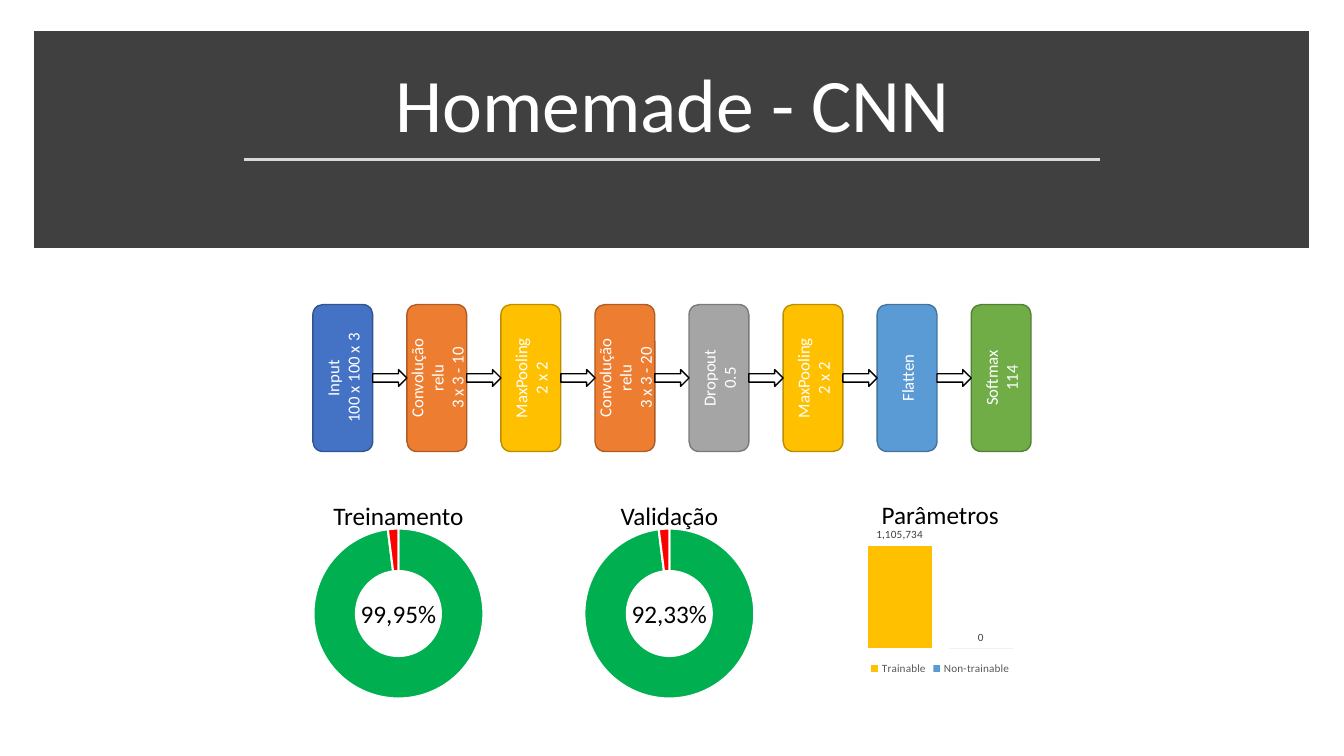
from lxml import etree
from pptx import Presentation
from pptx import util as u
from pptx.chart.data import CategoryChartData
from pptx.dml.color import RGBColor
from pptx.enum import chart as ch, shapes, text
from pptx.oxml import parse_xml
from pptx.oxml.ns import nsdecls, qn

PX = 9525
FONT = "Calibri"
WHITE, BLACK, CHARCOAL = "FFFFFF", "000000", "404040"
LAYERS = [
    ("Input\n100 x 100 x 3", "4472C4", "325491"),
    ("Convolução\nrelu\n3 x 3 - 10", "ED7D31", "AF5C24"),
    ("MaxPooling\n2 x 2", "FFC000", "BD8E00"),
    ("Convolução\nrelu\n3 x 3 - 20", "ED7D31", "AF5C24"),
    ("Dropout\n0.5", "A5A5A5", "7A7A7A"),
    ("MaxPooling\n2 x 2", "FFC000", "BD8E00"),
    ("Flatten", "5B9BD5", "43739E"),
    ("Softmax\n114", "70AD47", "538035"),
]
ACCURACIES = [("Treinamento", "99,95%"), ("Validação", "92,33%")]
PARAMETERS = [("Trainable", 1105734, "FFC000"), ("Non-trainable", 0, "5B9BD5")]


def rgb(color):
    return RGBColor.from_string(color)


def emu(*lengths):
    return [round(length * PX) for length in lengths]


def style_font(font, size, color):
    font.name, font.size = FONT, u.Pt(size)
    font.color.rgb = rgb(color)


def write(frame, words, size, color, anchor):
    frame.text = words
    frame.vertical_anchor = anchor
    for paragraph in frame.paragraphs:
        paragraph.alignment = text.PP_ALIGN.CENTER
        for run in paragraph.runs:
            style_font(run.font, size, color)


def add_block(parent, preset, box, fill, outline, width=1):
    block = parent.add_shape(preset, *emu(*box))
    block.shadow.inherit = False
    block.fill.solid()
    block.fill.fore_color.rgb = rgb(fill)
    block.line.color.rgb = rgb(outline)
    block.line.width = u.Pt(width)
    return block


def add_label(parent, box, words, anchor, wrap):
    label = parent.add_textbox(*emu(*box))
    label.text_frame.word_wrap = wrap
    write(label.text_frame, words, 18, BLACK, anchor)


def add_plain_chart(parent, kind, box, categories, series, size, plot_area):
    """Add a chart whose plot fills plot_area, given as fractions of the box."""
    data = CategoryChartData()
    data.categories = categories
    for name, values in series:
        data.add_series(name, values)
    chart = parent.add_chart(kind, *emu(*box), data).chart
    chart.has_title = chart.has_legend = False
    style_font(chart.font, size, BLACK)
    edges = "".join(f'<c:{tag} val="{value:.3f}"/>' for tag, value in zip("xywh", plot_area))
    layout = parse_xml(
        f'<c:layout {nsdecls("c")}><c:manualLayout><c:layoutTarget val="inner"/>'
        f'<c:xMode val="edge"/><c:yMode val="edge"/>{edges}</c:manualLayout></c:layout>')
    plot = chart.element.find(".//" + qn("c:plotArea"))
    for automatic in plot.findall(qn("c:layout")):
        plot.remove(automatic)
    plot.insert(0, layout)
    return chart


def add_header(slide, box):
    left, top, width, height = box
    banner = add_block(slide.shapes, shapes.MSO_SHAPE.RECTANGLE, box, CHARCOAL, CHARCOAL, 10)
    etree.SubElement(banner.line._get_or_add_ln(), qn("a:miter"), lim="800000")

    title = slide.shapes.title
    title.left, title.top, title.width, title.height = emu(left + 17, top + 13, width - 32, 98)
    write(title.text_frame, "Homemade - CNN", 54, WHITE, text.MSO_ANCHOR.BOTTOM)
    title.text_frame.auto_size = text.MSO_AUTO_SIZE.NONE
    title.text_frame.paragraphs[0].line_spacing = 0.9
    # The banner sits behind the title
    slide.shapes._spTree.remove(title._element)
    slide.shapes._spTree.append(title._element)

    rule = slide.shapes.add_connector(
        shapes.MSO_CONNECTOR.STRAIGHT,
        *emu(left + 193, top + 116, left + width - 192, top + 116))
    rule.line.color.rgb = rgb("D9D9D9")
    rule.line.width = u.Pt(1.75)
    etree.SubElement(rule._element.spPr, qn("a:effectLst"))


def add_pipeline(slide, box):
    left, top, width, height = box
    thickness, arrow_height = 57, 16
    step = (width - thickness) / (len(LAYERS) - 1)
    middle = top + height / 2
    pipeline = slide.shapes.add_group_shape().shapes
    for i, (words, fill, outline) in enumerate(LAYERS):
        center = left + thickness / 2 + i * step
        layer = add_block(pipeline, shapes.MSO_SHAPE.ROUNDED_RECTANGLE,
                          (center - height / 2, middle - thickness / 2, height, thickness),
                          fill, outline)
        layer.rotation = 270
        write(layer.text_frame, words, 12, WHITE, text.MSO_ANCHOR.MIDDLE)
    for i in range(len(LAYERS) - 1):
        add_block(pipeline, shapes.MSO_SHAPE.RIGHT_ARROW,
                  (left + thickness + i * step, middle - arrow_height / 2,
                   step - thickness, arrow_height), WHITE, BLACK)


def add_accuracy(slide, box, name, accuracy):
    left, top, width, height = box
    ring_box = (left, top + 18, width, height - 18)
    group = slide.shapes.add_group_shape().shapes
    chart = add_plain_chart(group, ch.XL_CHART_TYPE.DOUGHNUT, ring_box, ["1", "2"],
                            [("Series 1", (98, 2))], 10, (0.214, 0.071, 0.572, 0.857))
    ring = chart.plots[0]
    ring.vary_by_categories = True
    ring._element.find(qn("c:holeSize")).set("val", "50")
    for i, color in enumerate(("00B050", "FF0000")):
        part = ring.series[0].points[i].format
        part.fill.solid()
        part.fill.fore_color.rgb = rgb(color)
        part.line.color.rgb = rgb(WHITE)
        part.line.width = u.Pt(1.5)
    add_label(group, ring_box, accuracy, text.MSO_ANCHOR.MIDDLE, True)
    add_label(group, (left, top, width, 38), name, text.MSO_ANCHOR.TOP, False)


def add_parameters(slide, box):
    left, top, width, height = box
    chart = add_plain_chart(slide.shapes, ch.XL_CHART_TYPE.COLUMN_CLUSTERED,
                            (left, top + 32, width, height - 32), ["1"],
                            [(name, (count,)) for name, count, _ in PARAMETERS],
                            8, (0.02, 0.053, 0.96, 0.74))
    counts = chart.value_axis
    counts.minimum_scale, counts.maximum_scale = 0, 1200000
    counts.has_major_gridlines = False
    counts.tick_labels.number_format = "#,##0"
    counts.tick_labels.number_format_is_linked = False
    counts.visible = chart.category_axis.visible = False

    chart.has_legend = True
    chart.legend.position = ch.XL_LEGEND_POSITION.BOTTOM
    chart.legend.include_in_layout = False
    style_font(chart.legend.font, 8, "595959")

    columns = chart.plots[0]
    columns.vary_by_categories = False
    columns.gap_width, columns.overlap = 219, -27
    for column, (_, _, color) in zip(columns.series, PARAMETERS):
        column.format.fill.solid()
        column.format.fill.fore_color.rgb = rgb(color)
        labels = column.data_labels
        labels.show_value = True
        labels.position = ch.XL_LABEL_POSITION.OUTSIDE_END
        labels.number_format, labels.number_format_is_linked = "#,##0", False
        style_font(labels.font, 8, CHARCOAL)
    add_label(slide.shapes, (left, top, width, 38), "Parâmetros", text.MSO_ANCHOR.TOP, False)


def main():
    deck = Presentation()
    deck.slide_width, deck.slide_height = emu(1280, 720)
    slide = deck.slides.add_slide(deck.slide_layouts[5])
    add_header(slide, (39, 36, 1201, 194))
    add_pipeline(slide, (298, 290, 684, 140))
    results_left, results_step, result_width = 238, 258, 283
    for i, (name, accuracy) in enumerate(ACCURACIES):
        add_accuracy(slide, (results_left + i * results_step, 472, result_width, 207),
                     name, accuracy)
    add_parameters(slide, (results_left + 2 * results_step, 471, result_width, 176))
    deck.save("out.pptx")


if __name__ == "__main__":
    main()
